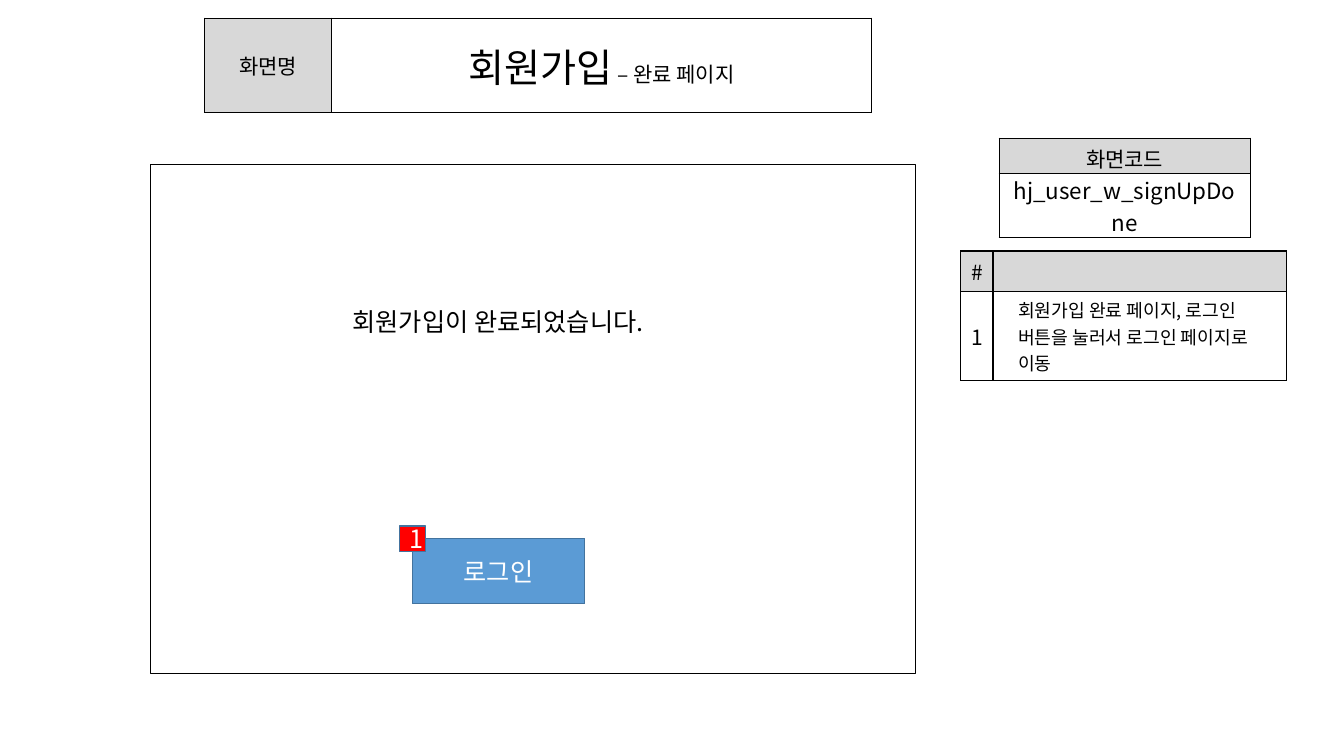
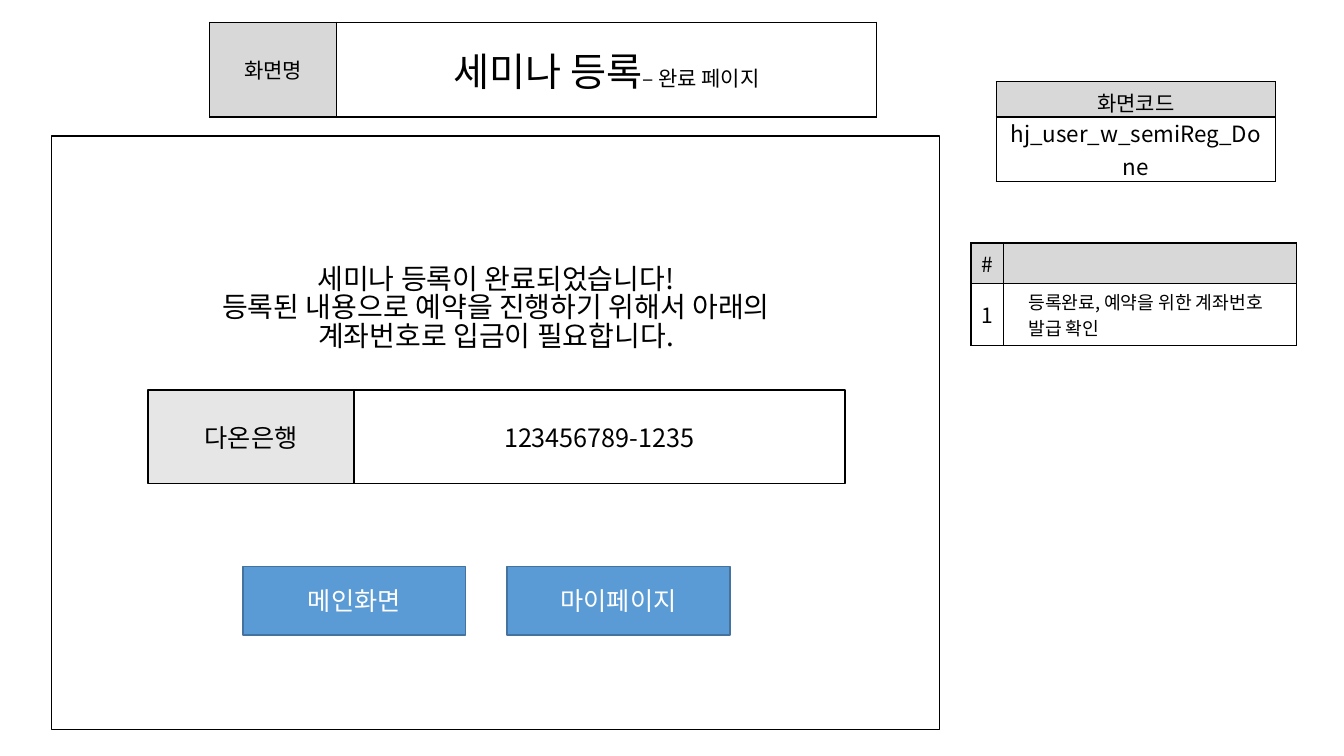
"""Build two screen-specification slides for completion pages."""
from lxml.etree import SubElement
from pptx import Presentation
from pptx.dml.color import RGBColor
from pptx.enum.shapes import MSO_SHAPE
from pptx.enum.text import MSO_ANCHOR, PP_ALIGN
from pptx.oxml.ns import qn
from pptx.util import Inches, Pt

FONT = "Noto Sans CJK KR"
COLORS = {
    "black": "000000", "white": "FFFFFF", "header": "D8D8D8", "label": "E7E6E6",
    "button": "5B9BD5", "edge": "43739E", "badge": "FF0000",
}
BUTTON = {"fill": "button", "line": "edge", "color": "white"}
BADGE = {"fill": "badge", "line": "edge", "color": "white"}
LABEL = {"fill": "label"}
FRAME = {}

SCREENS = [
    {
        "title": [("회원가입", 28), (" – 완료 페이지", 15)], "title_at": (2.03, 0.18),
        "code": "hj_user_w_signUpDone", "code_at": (9.91, 1.37), "code_width": 2.49,
        "note": "회원가입 완료 페이지, 로그인 버튼을 눌러서 로그인 페이지로 이동",
        "note_at": (9.53, 2.49), "note_height": 0.88,
        "message": ["회원가입이 완료되었습니다."], "message_size": 18,
        "message_box": (2.72, 3.04, 4.44, 0.4),
        "shapes": [
            ("", (1.49, 1.63, 7.59, 5.05), FRAME),
            ("로그인", (4.09, 5.34, 1.71, 0.65), BUTTON),
            ("1", (3.96, 5.22, 0.26, 0.25), BADGE),
        ],
    },
    {
        "title": [("세미나 등록", 28), ("– 완료 페이지", 15)], "title_at": (2.08, 0.22),
        "code": "hj_user_w_semiReg_Done", "code_at": (9.88, 0.81), "code_width": 2.77,
        "note": "등록완료, 예약을 위한 계좌번호 발급 확인",
        "note_at": (9.63, 2.41), "note_height": 0.62,
        "message": ["세미나 등록이 완료되었습니다!",
                    "등록된 내용으로 예약을 진행하기 위해서 아래의 계좌번호로 입금이 필요합니다."],
        "message_size": 20, "message_box": (1.64, 2.6, 6.56, 1.11),
        "shapes": [
            ("", (0.51, 1.35, 8.81, 5.89), FRAME),
            ("메인화면", (2.41, 5.62, 2.21, 0.68), BUTTON),
            ("마이페이지", (5.03, 5.62, 2.21, 0.68), BUTTON),
            ("다온은행", (1.47, 3.87, 2.04, 0.93), LABEL),
            ("123456789-1235", (3.51, 3.87, 4.87, 0.93), FRAME),
        ],
    },
]


def rgb(name):
    return RGBColor.from_string(COLORS[name])


def add_runs(paragraph, runs, color="black", align=PP_ALIGN.CENTER):
    paragraph.alignment = align
    for text, size in runs:
        run = paragraph.add_run()
        run.text = text
        run.font.name = FONT
        run.font.size = Pt(size)
        run.font.color.rgb = rgb(color)
        SubElement(run.font._element, qn("a:ea"), typeface=FONT)


def add_box(slide, text, box, style):
    shape = slide.shapes.add_shape(MSO_SHAPE.RECTANGLE, *map(Inches, box))
    shape.shadow.inherit = False
    if "fill" in style:
        shape.fill.solid()
        shape.fill.fore_color.rgb = rgb(style["fill"])
    else:
        shape.fill.background()
    shape.line.color.rgb = rgb(style.get("line", "black"))
    shape.line.width = Pt(1)
    if text:
        shape.text_frame.vertical_anchor = MSO_ANCHOR.MIDDLE
        add_runs(shape.text_frame.paragraphs[0], [(text, 18)], style.get("color", "black"))


def add_message(slide, lines, size, box):
    frame = slide.shapes.add_textbox(*map(Inches, box)).text_frame
    frame.word_wrap = True
    for index, line in enumerate(lines):
        paragraph = frame.add_paragraph() if index else frame.paragraphs[0]
        paragraph.line_spacing = 0.84
        add_runs(paragraph, [(line, size)])


def format_cell(cell, fill, side_margin):
    properties = cell._tc.get_or_add_tcPr()
    for edge in ("lnL", "lnR", "lnT", "lnB"):
        line = SubElement(properties, qn(f"a:{edge}"), w=str(Pt(1)))
        solid = SubElement(line, qn("a:solidFill"))
        SubElement(solid, qn("a:srgbClr"), val=COLORS["black"])
    cell.fill.solid()
    cell.fill.fore_color.rgb = rgb(fill)
    cell.vertical_anchor = MSO_ANCHOR.MIDDLE
    cell.margin_left = cell.margin_right = Inches(side_margin)
    cell.margin_top = cell.margin_bottom = Inches(0.05)


def add_grid(slide, position, widths, heights, rows, side_margin=0.08):
    """Add a bordered table whose rows hold (runs, fill) pairs."""
    size = (sum(widths), sum(heights))
    table = slide.shapes.add_table(len(heights), len(widths),
                                   *map(Inches, position + size)).table
    table.first_row = table.horz_banding = False
    for column, width in zip(table.columns, widths):
        column.width = Inches(width)
    for row, height, contents in zip(table.rows, heights, rows):
        row.height = Inches(height)
        for cell, (runs, fill) in zip(row.cells, contents):
            format_cell(cell, fill, side_margin)
            add_runs(cell.text_frame.paragraphs[0], runs)
    return table


def add_screen(presentation, screen):
    slide = presentation.slides.add_slide(presentation.slide_layouts[6])

    note_rows = [
        [([("#", 15)], "header"), ([], "header")],
        [([("1", 15)], "white"), ([(screen["note"], 13)], "white")],
    ]
    notes = add_grid(slide, screen["note_at"], (0.32, 2.91), (0.4, screen["note_height"]),
                     note_rows, side_margin=0.1)
    note_cell = notes.cell(1, 1)
    note_cell.vertical_anchor = MSO_ANCHOR.TOP
    note = note_cell.text_frame.paragraphs[0]
    note.alignment = PP_ALIGN.LEFT
    note._p.get_or_add_pPr().set("marL", str(Inches(0.15)))

    for text, box, style in screen["shapes"]:
        add_box(slide, text, box, style)
    add_message(slide, screen["message"], screen["message_size"], screen["message_box"])

    add_grid(slide, screen["title_at"], (1.26, 5.35), (0.94,),
             [[([("화면명", 15)], "header"), (screen["title"], "white")]])
    codes = add_grid(slide, screen["code_at"], (screen["code_width"],), (0.35, 0.64),
                     [[([("화면코드", 15)], "header")], [([(screen["code"], 16)], "white")]])
    codes.cell(0, 0).margin_bottom = 0
    codes.cell(1, 0).margin_top = codes.cell(1, 0).margin_bottom = 0


def main():
    presentation = Presentation()
    presentation.slide_width = Inches(13.33)
    presentation.slide_height = Inches(7.5)
    for screen in SCREENS:
        add_screen(presentation, screen)
    presentation.save("out.pptx")


if __name__ == "__main__":
    main()
